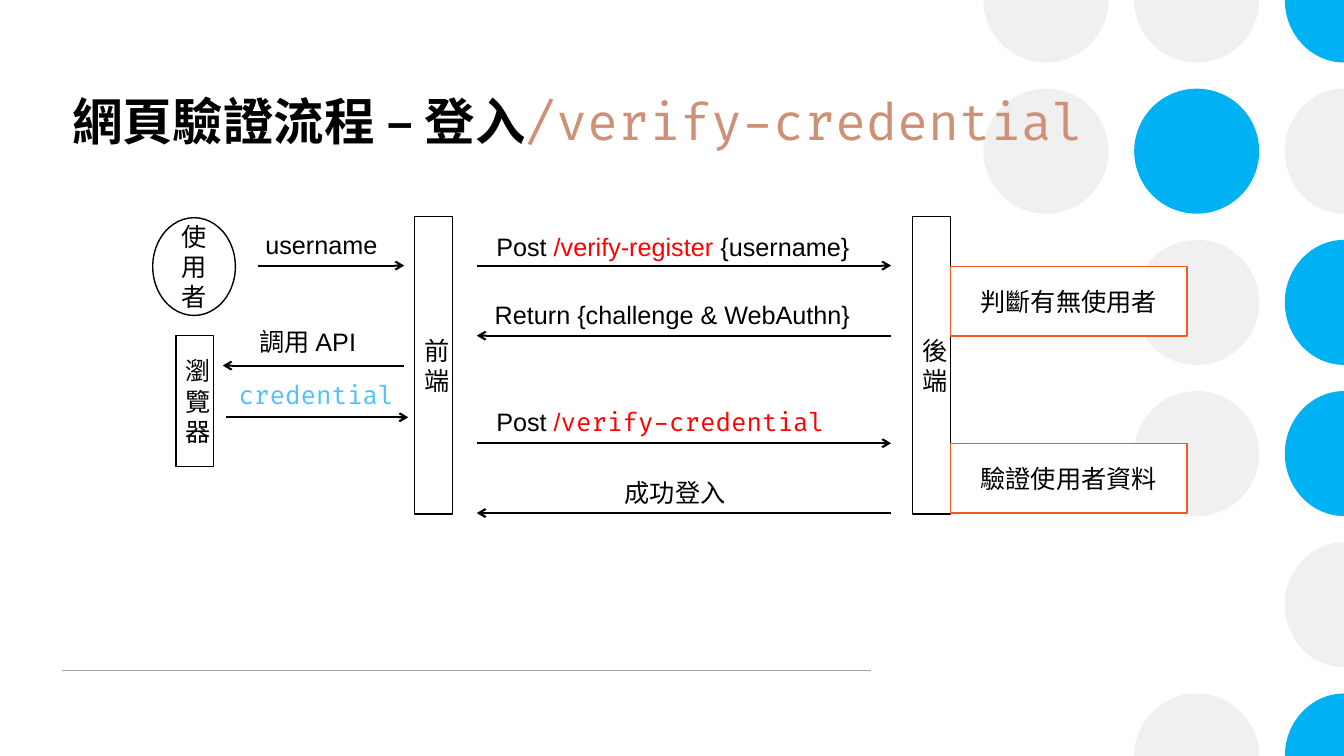
import math

import lxml.etree
import pptx
import pptx.dml.color
import pptx.enum.shapes
import pptx.enum.text
import pptx.oxml.ns
import pptx.util

COLUMNS, ROWS = 133.33, 75  # grid cells of a tenth of an inch
CELL = pptx.util.Inches(0.1)
BLACK, WHITE, RED = "000000", "FFFFFF", "FF0000"
GREY, BLUE, ORANGE = "EFF0EF", "00B2F3", "F55822"
SHAPES = pptx.enum.shapes.MSO_SHAPE
CENTER = pptx.enum.text.PP_ALIGN.CENTER
MIDDLE = pptx.enum.text.MSO_ANCHOR.MIDDLE
qn = pptx.oxml.ns.qn


def cells(*counts):
    return [pptx.util.Emu(round(count * CELL)) for count in counts]


def colour(value):
    return pptx.dml.color.RGBColor.from_string(value)


def add_run(paragraph, text, size=18, font="Arial", color=BLACK, bold=False):
    run = paragraph.add_run()
    run.text = text
    run.font.size = pptx.util.Pt(size)
    run.font.name = font
    run.font.bold = bold
    run.font.color.rgb = color if color is None else colour(color)


class FlowSlide:
    """Draws flow elements on one slide, measured in grid cells."""

    def __init__(self, presentation):
        self.shapes = presentation.slides.add_slide(presentation.slide_layouts[6]).shapes

    def paint(self, shape, fill, line=None):
        shape.shadow.inherit = False
        shape.fill.solid()
        shape.fill.fore_color.rgb = colour(fill)
        if line:
            shape.line.color.rgb = colour(line)
            shape.line.width = pptx.util.Pt(1)
        else:
            shape.line.fill.background()

    def dot(self, x, y, radius, fill):
        circle = self.shapes.add_shape(
            SHAPES.OVAL, *cells(x - radius, y - radius, 2 * radius, 2 * radius))
        self.paint(circle, fill)

    def sector(self, x, y, radii, first, quarters, fill):
        """Draws quarter turns of an ellipse, clockwise from the angle first."""
        def at(angle, bend=0):
            cos, sin = math.cos(math.radians(angle)), math.sin(math.radians(angle))
            return cells(x + radii[0] * (cos - bend * sin), y + radii[1] * (sin + bend * cos))

        bend = 0.55
        points = []
        for angle in range(first, first + 90 * quarters, 90):
            points += [at(angle, bend), at(angle + 90, -bend), at(angle + 90)]
        builder = self.shapes.build_freeform(*at(first), scale=1.0)
        builder.add_line_segments(points + [cells(x, y)], close=True)
        sector = builder.convert_to_shape()
        steps = list(sector._element.iter(qn("a:lnTo")))
        for start in range(0, 3 * quarters, 3):
            curve = lxml.etree.Element(qn("a:cubicBezTo"))
            steps[start].addprevious(curve)
            for step in steps[start:start + 3]:
                curve.append(step[0])
                step.getparent().remove(step)
        self.paint(sector, fill)

    def node(self, text, *box, form=SHAPES.RECTANGLE, line=BLACK):
        node = self.shapes.add_shape(form, *cells(*box))
        self.paint(node, WHITE, line)
        node.text_frame.word_wrap = True
        node.text_frame.vertical_anchor = MIDDLE
        paragraph = node.text_frame.paragraphs[0]
        paragraph.alignment = CENTER
        add_run(paragraph, text)

    def label(self, parts, *box, spacing=None):
        """Writes one line of (text, format) parts."""
        frame = self.shapes.add_textbox(*cells(*box)).text_frame
        frame.word_wrap = True
        paragraph = frame.paragraphs[0]
        paragraph.line_spacing = spacing
        for text, style in parts:
            add_run(paragraph, text, **style)

    def line(self, start, end, y, color=BLACK, width=1.5, arrow=True):
        line = self.shapes.add_connector(
            pptx.enum.shapes.MSO_CONNECTOR.STRAIGHT, *cells(start, y, end, y))
        line.line.color.rgb = colour(color)
        line.line.width = pptx.util.Pt(width)
        if arrow:
            lxml.etree.SubElement(line.line._get_or_add_ln(), qn("a:tailEnd"), type="arrow")
        lxml.etree.SubElement(line._element.spPr, qn("a:effectLst"))


def draw_dots(slide):
    radius, pitch = 6.2, 15
    middle, right = 103.77, 118.72
    for x, y, fill in [(middle, 1, GREY), (right, 1, BLUE), (right, 2, GREY), (right, 3, GREY)]:
        slide.dot(x, pitch * y, radius, fill)
    for x, y, first in [(middle, 0, 0), (right, 0, 0), (right, ROWS, 180)]:
        slide.sector(x, y, (radius, radius), first, 2, GREY)
    edge_arcs = [(90, 1), (90, 2), (90, 2), (90, 2), (90, 2), (180, 1)]
    edge_fills = [BLUE, GREY, BLUE, BLUE, GREY, BLUE]
    for row, (arc, fill) in enumerate(zip(edge_arcs, edge_fills)):
        slide.sector(COLUMNS, pitch * row, (5.87, radius), *arc, fill)


def main():
    presentation = pptx.Presentation()
    presentation.slide_width, presentation.slide_height = cells(COLUMNS, ROWS)
    slide = FlowSlide(presentation)

    draw_dots(slide)
    slide.line(6.2, 86.4, 66.55, color="A6A6A6", width=1, arrow=False)

    slide.label([("網頁驗證流程 – 登入", {"size": 36, "bold": True}),
                 ("/verify-credential", {"size": 36, "font": "Fira Code", "color": "CE9178"})],
                6.18, 8.4, 112, 13.9)

    slide.node("使用者", 15.15, 21.6, 8.2, 9.7, form=SHAPES.OVAL)
    for actor, left, top, height in [("瀏覽器", 17.45, 33.3, 13),
                                     ("前端", 41.15, 21.5, 29.5),
                                     ("後端", 90.55, 21.5, 29.5)]:
        slide.node(actor, left, top, 3.73, height)
    for check, top in [("判斷有無使用者", 26.42), ("驗證使用者資料", 44)]:
        slide.node(check, 94.27, top, 23.5, 6.9, line=ORANGE)

    front, back = 47.3, 88.4
    for start, end, y in [(25.6, 40.1, 26.35), (40.1, 22.1, 36.27), (22.4, 40.5, 41.4),
                          (front, back, 26.35), (back, front, 33.3),
                          (front, back, 43.97), (back, front, 50.9)]:
        slide.line(start, end, y)

    slide.label([("username", {})], 25.33, 22.3, 14.1, 4)
    slide.label([("調用 API", {})], 24.75, 31.9, 14.1, 4)
    slide.label([("credential", {"font": "Fira Code", "color": "4FC1FF"})],
                22.7, 37.85, 18.9, 3.6, spacing=pptx.util.Pt(16.5))
    slide.label([("Post ", {}), ("/verify-register ", {"color": RED}), ("{username}", {})],
                48.25, 22.5, 42.8, 4)
    slide.label([("Return {challenge & WebAuthn}", {})], 48.1, 29.2, 38.7, 4)
    slide.label([("Post ", {}), ("/", {"color": RED}),
                 ("verify-credential", {"font": "Fira Code", "color": RED})],
                48.25, 39.8, 39.8, 7.1)
    slide.label([("成功登入", {})], 61, 46.85, 12.3, 4)

    presentation.save("out.pptx")


if __name__ == "__main__":
    main()
